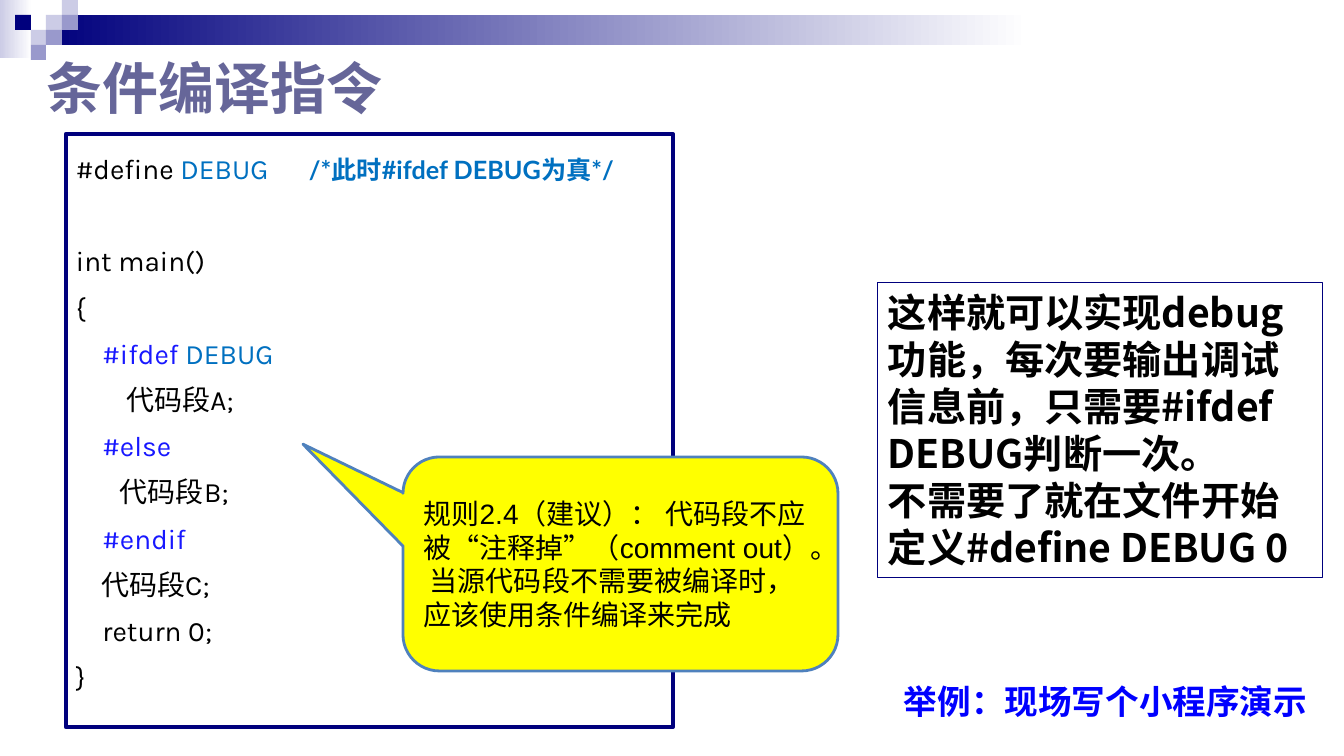
from lxml import etree
from pptx import Presentation
from pptx.dml.color import RGBColor
from pptx.enum.shapes import MSO_SHAPE as SHAPE
from pptx.enum.text import MSO_ANCHOR, MSO_AUTO_SIZE as FIT, PP_ALIGN
from pptx.oxml.ns import qn
from pptx.util import Pt

PX = 914400 / 100.8
CJK = "Noto Sans CJK SC"

NAVY = RGBColor(0x00, 0x00, 0x7D)
LAVENDER = RGBColor(0xCC, 0xCC, 0xE6)
PERIWINKLE = RGBColor(0x99, 0x99, 0xCC)
SLATE = RGBColor(0x66, 0x66, 0x99)
WHITE = RGBColor(0xFF, 0xFF, 0xFF)
BLACK = RGBColor(0x00, 0x00, 0x00)
MACRO = RGBColor(0x00, 0x70, 0xC0)
DIRECTIVE = RGBColor(0x18, 0x18, 0xFF)
BLUE = RGBColor(0x00, 0x00, 0xFF)
YELLOW = RGBColor(0xFF, 0xFF, 0x00)
STEEL = RGBColor(0x4F, 0x81, 0xBD)


def add_box(kind, left, top, width, height, fill=None, line=None, weight=0):
    """Add a preset shape; a list as fill makes a left-to-right gradient."""
    box = slide.shapes.add_shape(kind, *(round(v * PX) for v in (left, top, width, height)))
    box.shadow.inherit = False
    if isinstance(fill, list):
        box.fill.gradient()
        box.fill.gradient_angle = 0
        for stop, color in zip(box.fill.gradient_stops, fill):
            stop.color.rgb = color
    elif fill is None:
        box.fill.background()
    else:
        box.fill.solid()
        box.fill.fore_color.rgb = fill
    if line is None:
        box.line.fill.background()
    else:
        box.line.color.rgb = line
        box.line.width = Pt(weight)
    box.text_frame.word_wrap = True
    box.text_frame.vertical_anchor = MSO_ANCHOR.TOP
    box.text_frame.paragraphs[0].alignment = PP_ALIGN.LEFT
    return box


def add_run(paragraph, text, font, size, color, bold=False):
    run = paragraph.add_run()
    run.text = text
    run.font.name = font
    run.font.size = Pt(size)
    run.font.bold = bold
    run.font.color.rgb = color
    etree.SubElement(run.font._element, qn("a:ea"), typeface=CJK)


prs = Presentation()
prs.slide_width = round(1344 * PX)
prs.slide_height = round(756 * PX)
slide = prs.slides.add_slide(prs.slide_layouts[6])

# Header band and its mosaic of small squares
add_box(SHAPE.RECTANGLE, 0, 0, 32, 58, [LAVENDER, WHITE])
add_box(SHAPE.RECTANGLE, 46, 15, 983, 30, [NAVY, WHITE])
CELL = 15
COLUMN_EDGES = [0, 15, 31, 46, 62, 78]
MOSAIC = [
    (3, 1, LAVENDER), (4, 0, LAVENDER), (4, 1, PERIWINKLE), (2, 2, LAVENDER),
    (1, 1, NAVY), (3, 2, PERIWINKLE), (2, 3, PERIWINKLE),
]
for column, row, color in MOSAIC:
    left, right = COLUMN_EDGES[column:column + 2]
    add_box(SHAPE.RECTANGLE, left, row * CELL, right - left, CELL, color)

# Code listing
listing = add_box(SHAPE.RECTANGLE, 66, 134, 607, 593, WHITE, NAVY, 3).text_frame
CODE = [
    [("#define ", BLACK), ("DEBUG\t", MACRO)],
    [("int main()", BLACK)],
    [("{", BLACK)],
    [("    #ifdef ", DIRECTIVE), ("DEBUG", MACRO)],
    [("        代码段A;", BLACK)],
    [("    #else", DIRECTIVE)],
    [("       代码段B;", BLACK)],
    [("    #endif", DIRECTIVE)],
    [("    代码段C;", BLACK)],
    [("    return 0;", BLACK)],
    [("}", BLACK)],
]
LINE_PITCH = Pt(33)
for number, pieces in enumerate(CODE):
    code_line = listing.add_paragraph() if number else listing.paragraphs[0]
    code_line.alignment = PP_ALIGN.LEFT
    code_line.line_spacing = LINE_PITCH
    for text, color in pieces:
        add_run(code_line, text, "Karla", 20, color)

define_line, main_line = listing.paragraphs[:2]
main_line.space_before = LINE_PITCH
tabs = etree.SubElement(define_line._p.get_or_add_pPr(), qn("a:tabLst"))
etree.SubElement(tabs, qn("a:tab"), pos=str(round(233 * PX)), algn="l")
add_run(define_line, "/*此时#ifdef DEBUG为真*/", "Lato", 18, MACRO, True)

# Title
title = add_box(SHAPE.RECTANGLE, 37, 58, 1151, 58).text_frame
title.vertical_anchor = MSO_ANCHOR.MIDDLE
add_run(title.paragraphs[0], "条件编译指令", "League Spartan", 40, SLATE, True)

# Explanation on the right
explanation = add_box(SHAPE.RECTANGLE, 878, 283, 445, 295, None, NAVY, 0.75).text_frame
explanation.auto_size = FIT.SHAPE_TO_FIT_TEXT
add_run(explanation.paragraphs[0],
        "这样就可以实现debug功能，每次要输出调试信息前，只需要#ifdef DEBUG判断一次。",
        CJK, 28, BLACK, True)
switch_off = explanation.add_paragraph()
switch_off.alignment = PP_ALIGN.LEFT
add_run(switch_off, "不需要了就在文件开始定义#define DEBUG 0", CJK, 28, BLACK, True)

# Coding rule callout
rule = add_box(SHAPE.ROUNDED_RECTANGULAR_CALLOUT, 403, 457, 435, 214, YELLOW, STEEL, 2)
for index, value in enumerate((-0.73, -0.56, 0.17)):
    rule.adjustments[index] = value
rule.text_frame.vertical_anchor = MSO_ANCHOR.MIDDLE
add_run(rule.text_frame.paragraphs[0],
        "规则2.4（建议）： 代码段不应被“注释掉”（comment out）。 "
        "当源代码段不需要被编译时，应该使用条件编译来完成",
        "Arial", 20, BLACK)

# Live demo note
demo = add_box(SHAPE.RECTANGLE, 894, 676, 429, 50).text_frame
demo.word_wrap = False
demo.auto_size = FIT.SHAPE_TO_FIT_TEXT
add_run(demo.paragraphs[0], "举例：现场写个小程序演示", "Arial", 24, BLUE, True)

prs.save("out.pptx")
